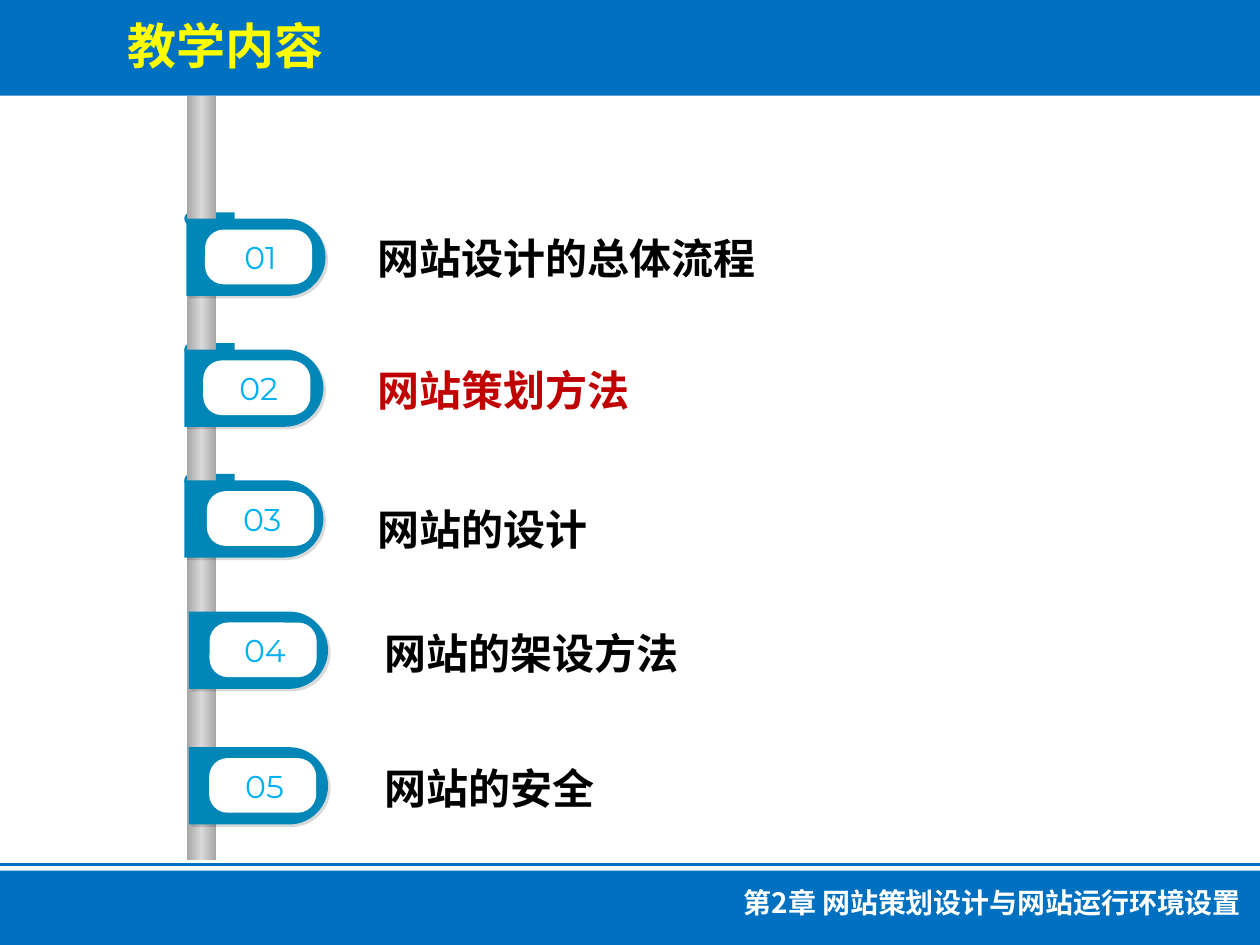
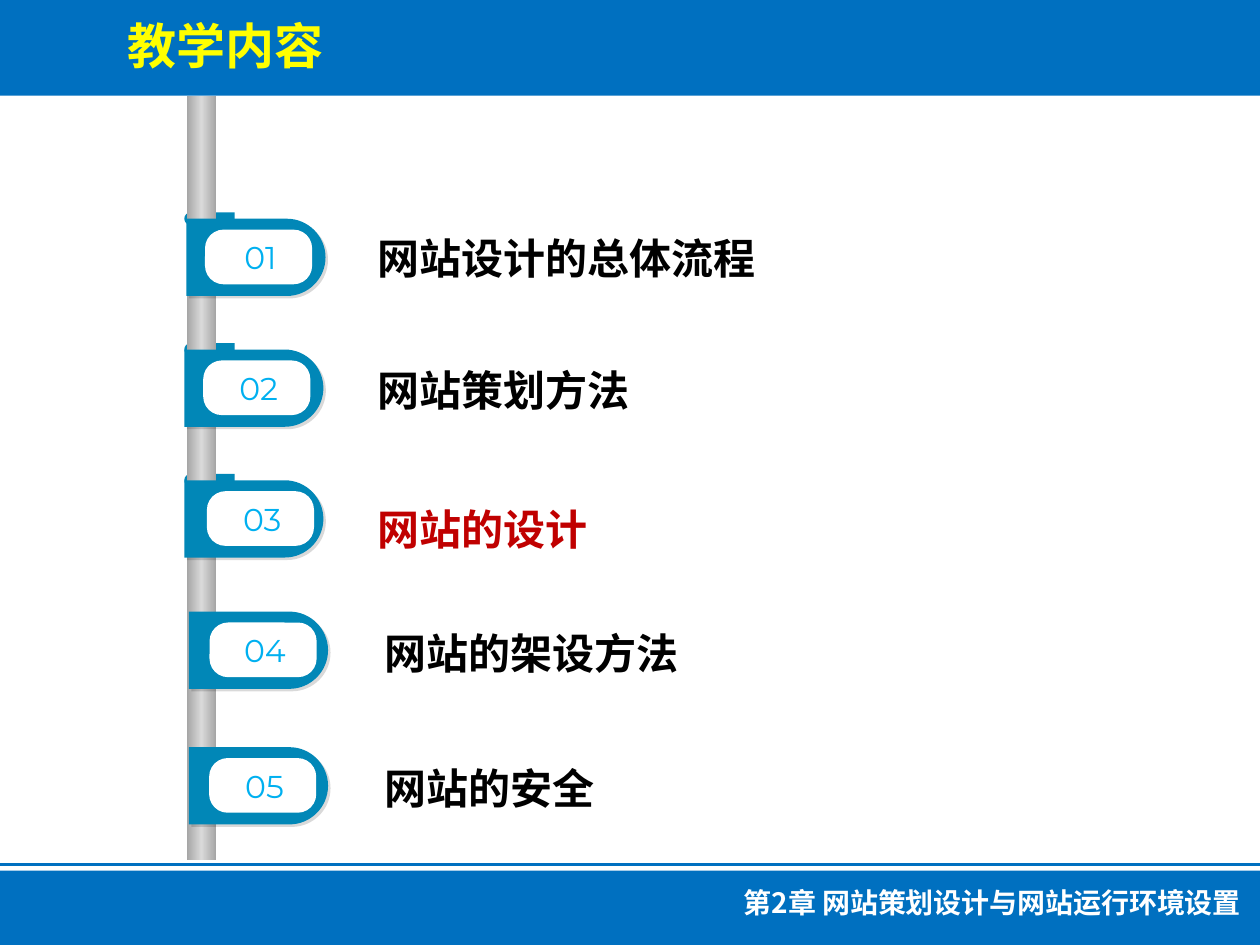
from copy import deepcopy

from lxml import etree
from pptx import Presentation
from pptx.dml.color import RGBColor
from pptx.enum.shapes import MSO_CONNECTOR, MSO_SHAPE
from pptx.enum.text import MSO_ANCHOR, MSO_AUTO_SIZE, PP_ALIGN
from pptx.oxml.ns import qn
from pptx.util import Inches, Pt

BLUE = RGBColor(0x00, 0x70, 0xC0)
TEAL = RGBColor(0x01, 0x87, 0xB7)
SKY = RGBColor(0x00, 0xB0, 0xF0)
YELLOW = RGBColor(0xFF, 0xFF, 0x00)
RED = RGBColor(0xC0, 0x00, 0x00)
BLACK = RGBColor(0x00, 0x00, 0x00)
WHITE = RGBColor(0xFF, 0xFF, 0xFF)
GREY = RGBColor(0xA6, 0xA6, 0xA6)
SILVER = RGBColor(0xD9, 0xD9, 0xD9)

CJK = "Noto Sans CJK SC"
TITLE = {"size": Pt(28), "bold": True, "name": CJK}
TOPIC = {"size": Pt(24), "bold": True, "name": "Arial"}
FOOTER = {"size": Pt(16), "bold": True, "name": CJK}
NUMBER = {"size": Pt(18), "bold": False, "name": "Montserrat"}
GROWING = {"word_wrap": True, "auto_size": MSO_AUTO_SIZE.SHAPE_TO_FIT_TEXT,
           "vertical_anchor": MSO_ANCHOR.TOP}
TIGHT = {"word_wrap": True, "vertical_anchor": MSO_ANCHOR.MIDDLE,
         "margin_left": 0, "margin_right": 0, "margin_top": 0, "margin_bottom": 0}

# Topic, tag left and top, pill left, topic left and top, in grid units
TOPICS = [
    ("网站设计的总体流程 ", 14.8, 17.36, 16.27, 29, 16.75),
    ("网站策划方法", 14.63, 27.74, 16.13, 29, 27.25),
    ("网站的设计 ", 14.63, 38.12, 16.42, 29, 38.3),
    ("网站的架设方法", 15, 48.54, 16.63, 29.5, 48.1),
    ("网站的安全 ", 15, 59.3, 16.6, 29.5, 58.8),
]
TABBED = 3  # the first tags have a tab behind the pole
CURVE = 0.55  # handle length of a quarter circle

prs = Presentation()
prs.slide_width, prs.slide_height = Inches(10), Inches(7.5)
UNIT = prs.slide_width // 100  # square grid: 100 columns, 75 rows


def add(s, kind, box, fill):
    """Add a plain filled shape; kind is a preset or the side that is round."""
    x, y, w, h = (int(v * UNIT) for v in box)
    if kind in ("left", "right"):
        rad = h // 2
        flat, tip, bulge = (0, w, rad) if kind == "right" else (w, 0, -rad)
        bend = tip - bulge
        fb = s.shapes.build_freeform(x + flat, y)
        fb.add_line_segments([(x + bend, y), (x + tip, y + rad),
                              (x + bend, y + h), (x + flat, y + h)], close=True)
        sp = fb.convert_to_shape()
        # Turn the two slanted sides into quarter circles
        near, far = bend + CURVE * bulge, CURVE * rad
        quarters = [((near, 0), (tip, rad - far), (tip, rad)),
                    ((tip, rad + far), (near, h), (bend, h))]
        sides = list(sp.element.iter(qn("a:lnTo")))[1:3]
        for side, points in zip(sides, quarters):
            curve = etree.Element(qn("a:cubicBezTo"))
            for px, py in points:
                etree.SubElement(curve, qn("a:pt"), x=str(int(px)), y=str(int(py)))
            side.getparent().replace(side, curve)
    else:
        sp = s.shapes.add_shape(kind, x, y, w, h)
    sp.fill.solid()
    sp.fill.fore_color.rgb = fill
    sp.line.fill.background()
    sp.shadow.inherit = False
    return sp


def write(s, text, box, font, color, align, frame=GROWING, spacing=None, sp=None):
    """Place a text box, or the given placeholder, and fill it with one line."""
    x, y, w, h = (int(v * UNIT) for v in box)
    sp = sp or s.shapes.add_textbox(x, y, w, h)
    sp.left, sp.top, sp.width, sp.height = x, y, w, h
    tf = sp.text_frame
    for name, value in frame.items():
        setattr(tf, name, value)
    p = tf.paragraphs[0]
    p.alignment, p.line_spacing = align, spacing
    r = p.add_run()
    r.text = text
    for name, value in font.items():
        setattr(r.font, name, value)
    r.font.color.rgb = color
    etree.SubElement(r.font._element, qn("a:ea"), typeface=CJK)


for current in (1, 2):
    s = prs.slides.add_slide(prs.slide_layouts[5])

    # Bands, footer rule and title
    add(s, MSO_SHAPE.RECTANGLE, (0, 0, 100, 7.6), BLUE)
    rule = s.shapes.add_connector(MSO_CONNECTOR.STRAIGHT, 0, int(68.6 * UNIT),
                                  prs.slide_width, int(68.6 * UNIT))
    rule.line.color.rgb, rule.line.width = BLUE, Pt(2)
    etree.SubElement(rule.element.spPr, qn("a:effectLst"))
    add(s, MSO_SHAPE.RECTANGLE, (0, 69.1, 100, 5.9), BLUE)
    title = s.shapes.title
    title.element.getparent().append(title.element)  # in front of the band
    write(s, "教学内容", (9.1, 0.7, 45.3, 5.7), TITLE, YELLOW, PP_ALIGN.LEFT, sp=title)
    write(s, "第2章 网站策划设计与网站运行环境设置 ", (52.9, 69.8, 47.1, 3.7),
          FOOTER, WHITE, PP_ALIGN.RIGHT)

    # Tabs behind the pole
    for row in TOPICS[:TABBED]:
        add(s, "left", (14.63, row[2] - 0.5, 4, 1), TEAL)

    # Pole with a three-stop gradient
    pole = add(s, MSO_SHAPE.RECTANGLE, (14.85, 7.6, 2.3, 60.7), GREY)
    pole.fill.gradient()
    pole.fill.gradient_angle = 0
    stops = pole.element.spPr.find(".//" + qn("a:gsLst"))
    stops.insert(1, deepcopy(stops[0]))
    for stop, place, color in zip(pole.fill.gradient_stops, (0, 0.5, 1), (GREY, SILVER, GREY)):
        stop.position, stop.color.rgb = place, color

    # Numbered tags and topics
    for i, (topic, tag_x, tag_y, pill_x, topic_x, topic_y) in enumerate(TOPICS):
        tag = add(s, "right", (tag_x, tag_y, 11.04, 6.13), TEAL)
        effects = tag.element.spPr.find(qn("a:effectLst"))
        shadow = etree.SubElement(effects, qn("a:outerShdw"), blurRad="0", dist=str(Pt(2)),
                                  dir="2700000", algn="tl", rotWithShape="0")
        tint = etree.SubElement(shadow, qn("a:srgbClr"), val=str(BLACK))
        etree.SubElement(tint, qn("a:alpha"), val="15000")

        pill = add(s, MSO_SHAPE.ROUNDED_RECTANGLE, (pill_x, tag_y + 0.87, 8.5, 4.34), WHITE)
        pill.adjustments[0] = 0.34
        write(s, f"{i + 1:02}", (pill_x + 1.05, tag_y + 1.46, 6.7, 3.2),
              NUMBER, SKY, PP_ALIGN.CENTER, frame=TIGHT)
        write(s, topic, (topic_x, topic_y, 48.9, 6.2), TOPIC,
              RED if i == current else BLACK, PP_ALIGN.JUSTIFY, spacing=1.3)

prs.save("out.pptx")
